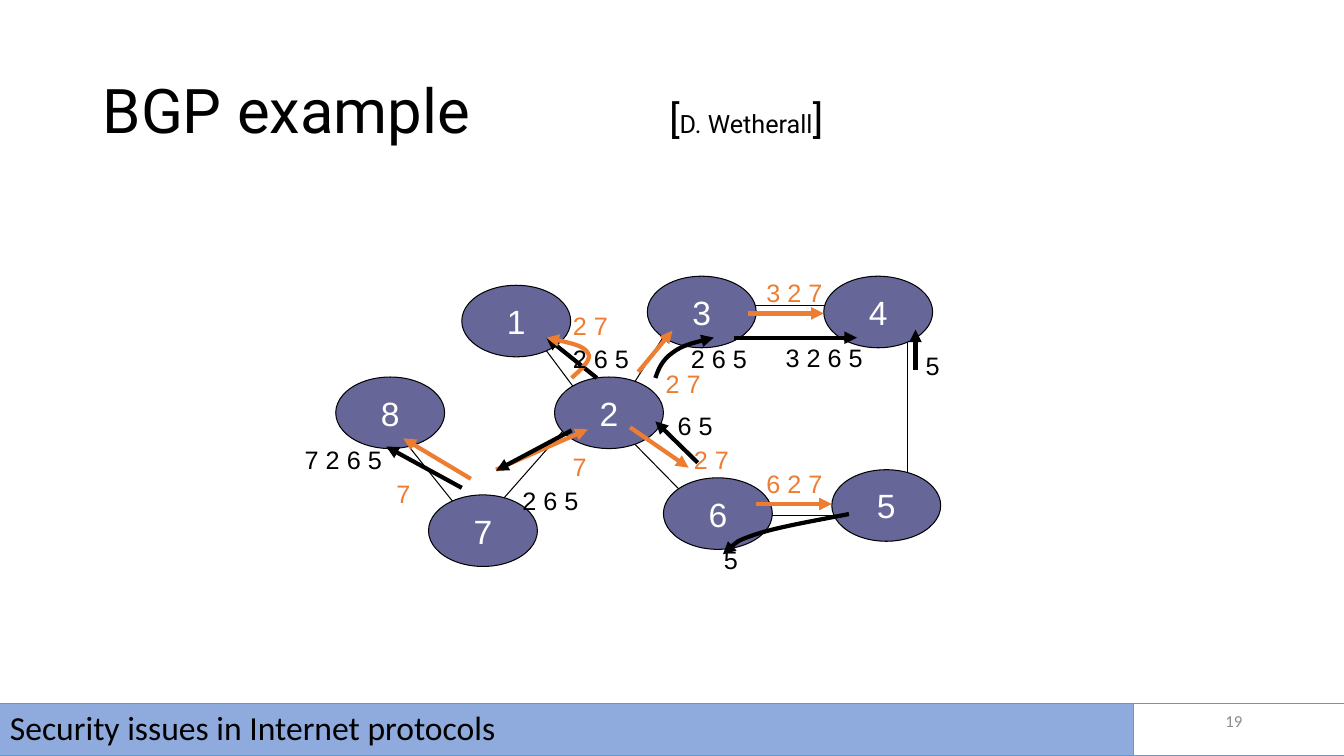
from lxml import etree
from pptx import Presentation
from pptx import util as u
from pptx.dml.color import RGBColor
from pptx.enum import shapes, text
from pptx.oxml.ns import qn

HUES = {"ink": "000000", "route": "ED7D31", "node": "666699", "white": "FFFFFF",
        "bar": "8FAADC", "edge": "5B9BD5", "grey": "8C8C8C"}
LEFT, MID, RIGHT = text.PP_ALIGN.LEFT, text.PP_ALIGN.CENTER, text.PP_ALIGN.RIGHT

LINKS = [(4, 4.36, 4.67, 5.2), (5.58, 4.28, 4.92, 5.03), (9, 3.36, 9, 4.78),
         (6.25, 4.36, 6.83, 4.95), (6.67, 3.2, 6.25, 3.86), (5.33, 3.36, 5.83, 4.03),
         (7.42, 3.03, 8.25, 3.03), (7.5, 5.11, 8.42, 5.11)]
NODES = {"3": (6.42, 2.74), "4": (8.17, 2.74), "6": (6.58, 4.74), "5": (8.25, 4.66),
         "7": (4.25, 4.91), "1": (4.58, 2.83), "8": (3.33, 3.74), "2": (5.5, 3.74)}
# Announced paths: hue, label, left, top
LABELS = [("route", "7", 5.58, 4.43), ("route", "7", 3.83, 4.7),
          ("route", "2 7", 5.58, 3.03), ("route", "2 7", 6.5, 3.61),
          ("route", "2 7", 6.78, 4.36), ("route", "3 2 7", 7.5, 2.7),
          ("route", "6 2 7", 7.5, 4.6), ("ink", "2 6 5", 6.75, 3.36),
          ("ink", "2 6 5", 5.58, 3.36), ("ink", "2 6 5", 5.08, 4.77),
          ("ink", "3 2 6 5", 7.69, 3.35), ("ink", "7 2 6 5", 2.92, 4.36),
          ("ink", "6 5", 6.62, 4.02), ("ink", "5", 9.08, 3.43), ("ink", "5", 7.08, 5.35)]
ARROWS = [("route", (4.67, 4.75, 4, 4.35)), ("route", (4.92, 4.66, 5.83, 4.26)),
          ("route", (6.25, 4.24, 6.83, 4.64)), ("route", (6.33, 3.69, 6.67, 3.28)),
          ("route", (7.5, 5, 8.25, 5)), ("route", (7.42, 3.11, 8.17, 3.11)),
          ("ink", (5.92, 3.75, 5.42, 3.35)), ("ink", (5.67, 4.27, 4.92, 4.67)),
          ("ink", (7.28, 3.35, 8.5, 3.35)), ("ink", (4.58, 4.84, 3.83, 4.43)),
          ("ink", (6.92, 4.59, 6.5, 4.18)), ("ink", (9.08, 3.67, 9.08, 3.27))]
# Start point, then three points per cubic curve
CURVES = [("route", [(5.67, 3.75), (5.77, 3.66), (5.88, 3.56), (5.83, 3.5),
                     (5.79, 3.43), (5.6, 3.39), (5.42, 3.35)]),
          ("ink", [(6.5, 3.75), (6.53, 3.66), (6.57, 3.57), (6.67, 3.5),
                   (6.76, 3.43), (6.92, 3.39), (7.08, 3.35)]),
          ("ink", [(8.42, 5.1), (8.06, 5.17), (7.71, 5.23), (7.5, 5.3),
                   (7.29, 5.37), (7.23, 5.44), (7.17, 5.5)])]


def tint(hue):
    """Return the named colour."""
    return RGBColor.from_string(HUES[hue])


def write(shape, runs, font, hue, align=LEFT, anchor=text.MSO_ANCHOR.MIDDLE, gap=None):
    """Write (words, size) runs as one paragraph."""
    frame = shape.text_frame
    frame.vertical_anchor = anchor
    para = frame.paragraphs[0]
    para.alignment = align
    para.line_spacing = gap
    for words, size in runs:
        run = para.add_run()
        run.text = words
        run.font.name = font
        run.font.size = u.Pt(size)
        run.font.color.rgb = tint(hue)
    return para


def box(slide, at, wrap=True):
    """Add an empty text box."""
    shape = slide.shapes.add_textbox(*map(u.Inches, at))
    shape.text_frame.word_wrap = wrap
    return shape


def form(slide, kind, at, fill, edge):
    """Add a preset shape with a thin outline."""
    shape = slide.shapes.add_shape(kind, *map(u.Inches, at))
    shape.shadow.inherit = False
    if fill:
        shape.fill.solid()
        shape.fill.fore_color.rgb = tint(fill)
    else:
        shape.fill.background()
    shape.line.color.rgb = tint(edge)
    shape.line.width = u.Pt(0.75)
    return shape


def stroke(shape, hue, width, head):
    """Style a line, with an arrowhead at its end if asked."""
    shape.line.color.rgb = tint(hue)
    shape.line.width = u.Pt(width)
    if head:
        etree.SubElement(shape.line._get_or_add_ln(), qn("a:tailEnd"), type="triangle")


def link(slide, ends, hue="ink", width=0.75, head=False):
    """Add a straight line or arrow."""
    line = slide.shapes.add_connector(shapes.MSO_CONNECTOR.STRAIGHT, *map(u.Inches, ends))
    stroke(line, hue, width, head)
    etree.SubElement(line._element.spPr, qn("a:effectLst"))


def curve(slide, hue, points):
    """Add a curved arrow through cubic segments."""
    start, *rest = [(u.Inches(x), u.Inches(y)) for x, y in points]
    pen = slide.shapes.build_freeform(*start)
    pen.add_line_segments(rest, close=False)
    shape = pen.convert_to_shape()
    shape.shadow.inherit = False
    shape.fill.background()
    stroke(shape, hue, 3, True)
    steps = list(shape._element.iter(qn("a:lnTo")))
    for i in range(0, len(steps), 3):
        bend = etree.Element(qn("a:cubicBezTo"))
        steps[i].addprevious(bend)
        for step in steps[i:i + 3]:
            bend.append(step[0])
            step.getparent().remove(step)


def title(slide):
    """Add the title and its credit, set apart by a tab stop."""
    runs = [("BGP example", 44), ("\t", 44), ("[", 28), ("D. Wetherall", 18), ("]", 28)]
    para = write(box(slide, (0.92, 0.4, 11.5, 1.45)), runs, "Roboto", "ink", gap=0.9)
    tabs = etree.SubElement(para._p.get_or_add_pPr(), qn("a:tabLst"))
    etree.SubElement(tabs, qn("a:tab"), pos=str(u.Inches(5.62)), algn="l")


def footer(slide):
    """Add the footer bar and the page number."""
    rect = shapes.MSO_SHAPE.RECTANGLE
    bar = form(slide, rect, (0, 6.98, 11.24, 0.52), "bar", "edge")
    write(bar, [("Security issues in Internet protocols", 24)], "Calibri", "ink", gap=0.9)
    form(slide, rect, (11.24, 6.98, 2.1, 0.52), None, "edge")
    write(box(slide, (9.42, 6.95, 3, 0.4)), [("19", 12)], "Calibri", "grey", RIGHT)


def main():
    """Build the slide."""
    deck = Presentation()
    deck.slide_width, deck.slide_height = u.Inches(13.33), u.Inches(7.5)
    slide = deck.slides.add_slide(deck.slide_layouts[6])
    title(slide)
    for ends in LINKS:
        link(slide, ends)
    for name, spot in NODES.items():
        node = form(slide, shapes.MSO_SHAPE.OVAL, (*spot, 1.08, 0.71), "node", "ink")
        write(node, [(name, 24)], "Arial", "white", MID)
    for hue, ends in ARROWS:
        link(slide, ends, hue, 3, True)
    for hue, points in CURVES:
        curve(slide, hue, points)
    for hue, words, x, y in LABELS:
        wide = 0.34 + 0.21 * words.count(" ")
        label = box(slide, (x, y, wide, 0.4), wrap=False)
        write(label, [(words, 18)], "Arial", hue, MID, text.MSO_ANCHOR.TOP)
    footer(slide)
    deck.save("out.pptx")


main()
